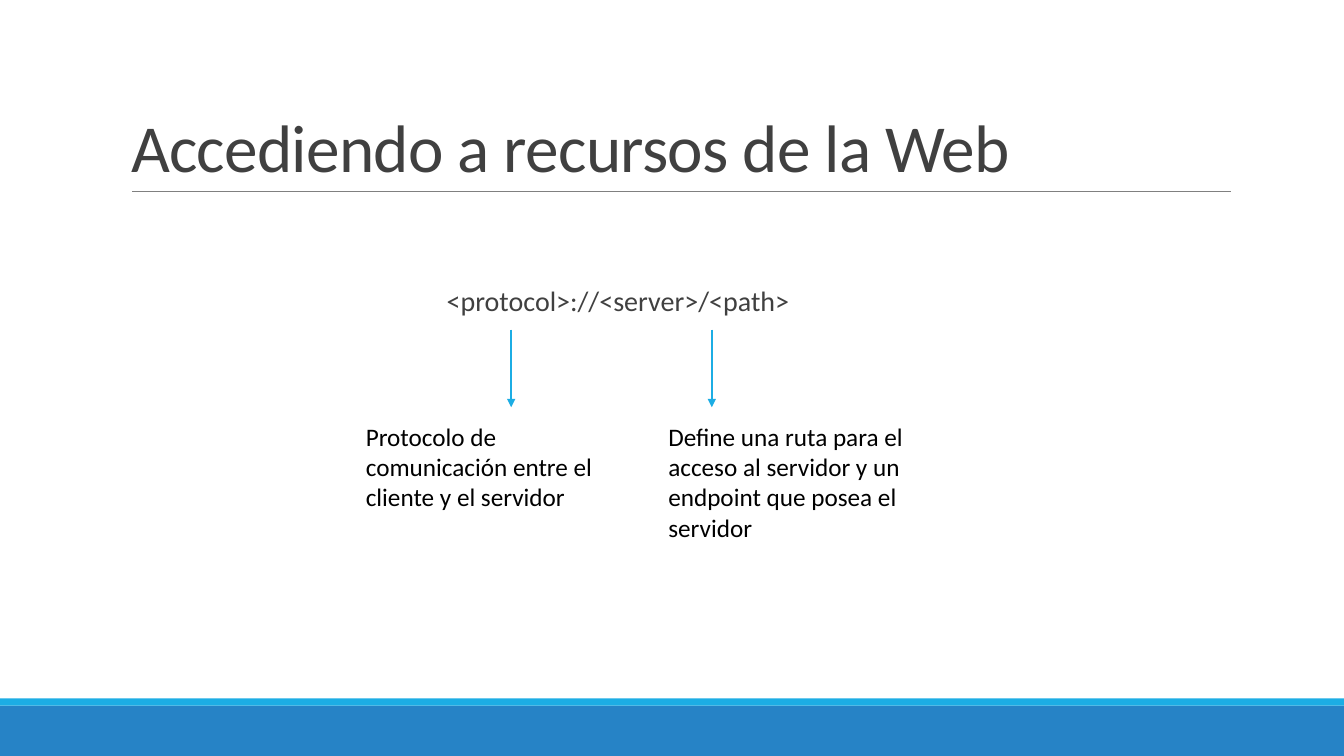
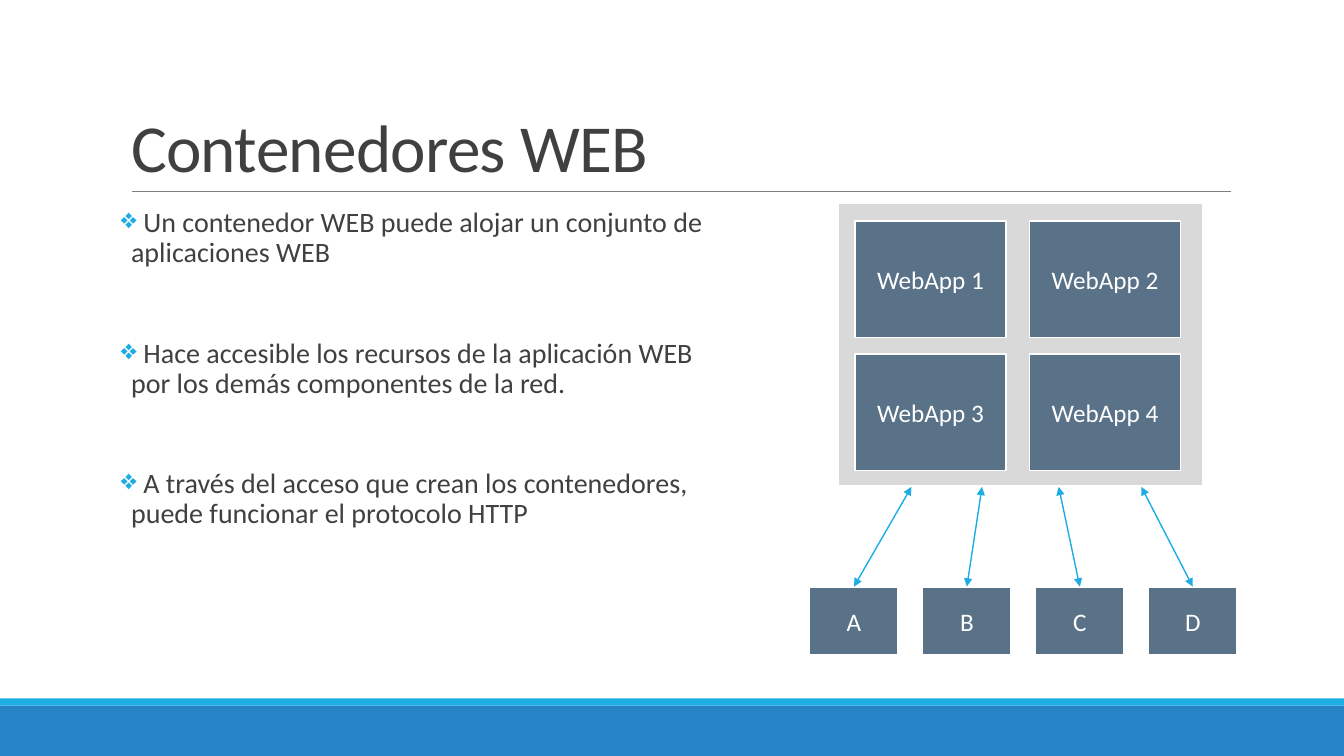
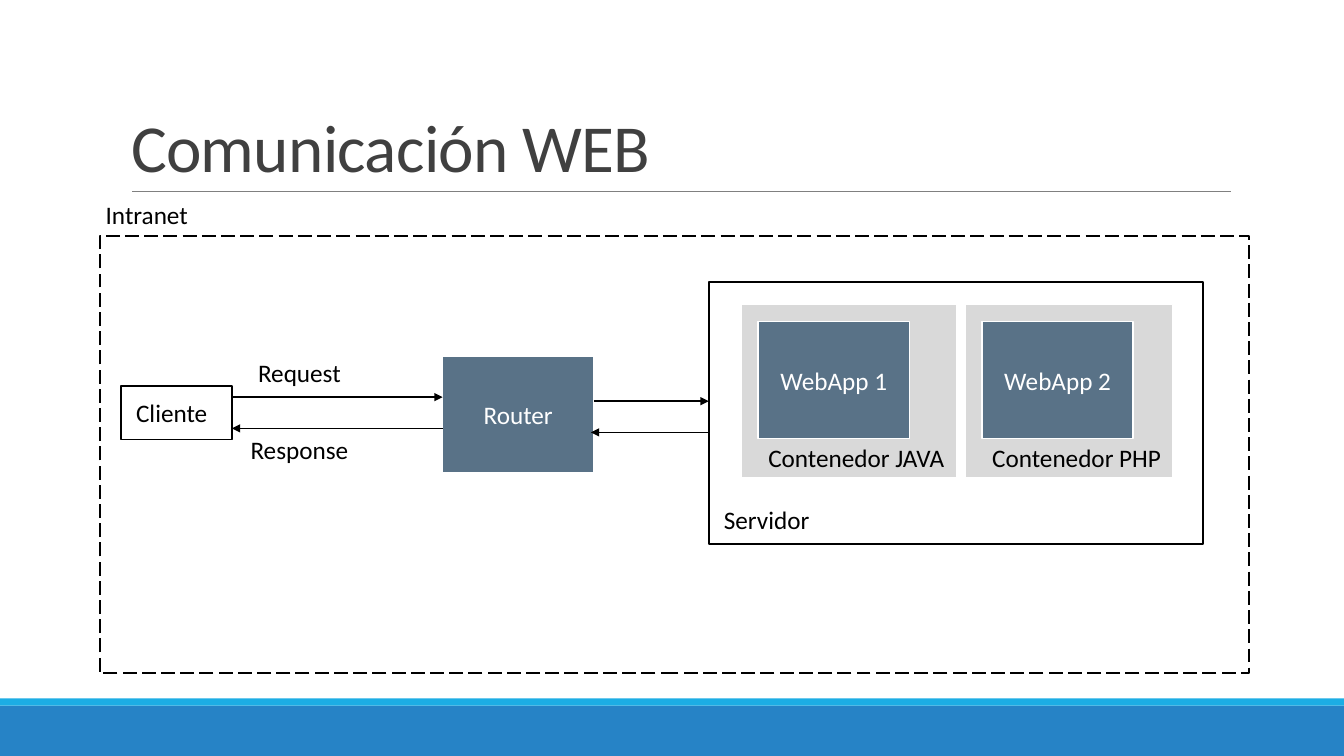
from dataclasses import dataclass

from lxml import etree
from pptx import Presentation
from pptx.dml.color import RGBColor
from pptx.enum.dml import MSO_LINE
from pptx.enum.shapes import MSO_CONNECTOR, MSO_SHAPE
from pptx.enum.text import MSO_ANCHOR, MSO_AUTO_SIZE, PP_ALIGN
from pptx.oxml.ns import qn
from pptx.util import Inches, Pt

RECTANGLE = MSO_SHAPE.RECTANGLE
STRAIGHT = MSO_CONNECTOR.STRAIGHT
LEFT, CENTER = PP_ALIGN.LEFT, PP_ALIGN.CENTER
TOP, MIDDLE, BOTTOM = MSO_ANCHOR.TOP, MSO_ANCHOR.MIDDLE, MSO_ANCHOR.BOTTOM
TOP_SIDE = 0


@dataclass(frozen=True)
class Theme:
    font: str = "Calibri"
    title_size: int = 48
    body_size: int = 20
    label_size: int = 18
    blue: str = "2683C6"
    cyan: str = "1CADE4"
    slate: str = "597287"
    panel: str = "D9D9D9"
    rule: str = "808080"
    ink: str = "404040"
    black: str = "000000"
    white: str = "FFFFFF"


theme = Theme()


def add_box(page, place, lines=(), fill=None, line=None, color=theme.black,
            size=theme.label_size, align=LEFT, anchor=TOP, insets=(0.1, 0.05, 0.1, 0.05)):
    """Add a rectangle, or a text box when it has neither fill nor line."""
    place = [Inches(value) for value in place]
    if fill or line:
        box = page.shapes.add_shape(RECTANGLE, *place)
        box.shadow.inherit = False
    else:
        box = page.shapes.add_textbox(*place)
    if fill:
        box.fill.solid()
        box.fill.fore_color.rgb = RGBColor.from_string(fill)
    else:
        box.fill.background()
    if line:
        box.line.color.rgb = RGBColor.from_string(line)
        box.line.width = Pt(1.25)
    else:
        box.line.fill.background()

    frame = box.text_frame
    frame.word_wrap = True
    frame.vertical_anchor = anchor
    (frame.margin_left, frame.margin_top,
     frame.margin_right, frame.margin_bottom) = [Inches(inset) for inset in insets]
    frame.text = "\n".join(lines)
    for para in frame.paragraphs:
        para.alignment = align
        para.font.name = theme.font
        para.font.size = Pt(size)
        para.font.color.rgb = RGBColor.from_string(color)
    return box


def add_line(page, start, end, color, width=1, heads=("a:tailEnd",)):
    connector = page.shapes.add_connector(STRAIGHT, *[Inches(value) for value in start + end])
    connector.line.color.rgb = RGBColor.from_string(color)
    connector.line.width = Pt(width)
    properties = connector._element.spPr
    for head in heads:
        etree.SubElement(properties.find(qn("a:ln")), qn(head), type="triangle")
    etree.SubElement(properties, qn("a:effectLst"))
    return connector


deck = Presentation()
deck.slide_width, deck.slide_height = Inches(13.33), Inches(7.5)
layout = deck.slide_layouts[5]

# Pages and their titles
pages = []
for heading in ("Accediendo a recursos de la Web", "Contenedores WEB", "Comunicación WEB"):
    page = deck.slides.add_slide(layout)
    title = page.shapes.title
    title.left, title.top, title.width, title.height = map(Inches, (1.2, 0.31, 11, 1.59))
    title.text_frame.text = heading
    title.text_frame.vertical_anchor = BOTTOM
    title.text_frame.auto_size = MSO_AUTO_SIZE.NONE
    para = title.text_frame.paragraphs[0]
    para.alignment = LEFT
    para.line_spacing = 0.85
    para.font.name = theme.font
    para.font.size = Pt(theme.title_size)
    para.font.color.rgb = RGBColor.from_string(theme.ink)
    para.font._rPr.set("spc", "-50")
    pages.append(page)
access_page, container_page, network_page = pages

# Shared bands and title rule, moved to the layout
for holder in list(layout.placeholders):
    if holder.placeholder_format.idx:
        holder._element.getparent().remove(holder._element)
shared_parts = (
    add_box(access_page, (0, 7, 13.33, 0.5), fill=theme.blue),
    add_box(access_page, (0, 6.93, 13.33, 0.07), fill=theme.cyan),
    add_line(access_page, (1.31, 1.9), (12.21, 1.9), theme.rule, width=0.5, heads=()),
)
for part in shared_parts:
    layout.shapes._spTree.append(part._element)

# Address pattern with its two explanations
address = add_box(access_page, (4.43, 2.8, 3.98, 0.41), ["<protocol>://<server>/<path>"],
                  color=theme.ink, size=theme.body_size, insets=(0, 0.05, 0, 0.05))
address.text_frame.paragraphs[0].line_spacing = 0.9
for arrow_x, place, caption in (
    (5.07, (3.53, 4.13, 2.75, 1.01), "Protocolo de comunicación entre el cliente y el servidor"),
    (7.06, (6.53, 4.13, 3.01, 1.31),
     "Define una ruta para el acceso al servidor y un endpoint que posea el servidor"),
):
    add_line(access_page, (arrow_x, 3.27), (arrow_x, 4.04), theme.cyan)
    add_box(access_page, place, [caption])

# Bulleted list about containers
points = add_box(container_page, (1.2, 2.02, 5.81, 4.4), [
    " Un contenedor WEB puede alojar un conjunto de aplicaciones WEB",
    " Hace accesible los recursos de la aplicación WEB por los demás componentes de la red.",
    " A través del acceso que crean los contenedores, puede funcionar el protocolo HTTP",
], color=theme.ink, size=theme.body_size, insets=(0, 0.05, 0, 0.05))
for para in points.text_frame.paragraphs:
    para.line_spacing = 0.9
    para.space_before, para.space_after = Pt(48), Pt(2)
    properties = para._p.pPr
    properties.set("marL", str(Inches(0.1)))
    properties.set("indent", str(Inches(-0.1)))
    bullet_color = etree.Element(qn("a:buClr"))
    etree.SubElement(bullet_color, qn("a:srgbClr"), val=theme.cyan)
    bullet = etree.Element(qn("a:buChar"), char="❖")
    for element in (bullet_color, bullet):
        properties.find(qn("a:defRPr")).addprevious(element)
points.text_frame.paragraphs[0].space_before = Pt(0)

# Container with a grid of four applications
node_style = dict(fill=theme.slate, line=theme.white, color=theme.white,
                  align=CENTER, anchor=MIDDLE)
add_box(container_page, (8.31, 2.02, 3.62, 2.8), fill=theme.panel, line=theme.white)
for index in range(4):
    row, column = divmod(index, 2)
    add_box(container_page, (8.48 + 1.73 * column, 2.19 + 1.32 * row, 1.5, 1.16),
            [f"WebApp {index + 1}"], **node_style)

# Components that reach the container
for index, (name, arrow_x) in enumerate(zip("ABCD", (9.04, 9.74, 10.5, 11.32))):
    left = 8.03 + 1.12 * index
    component = add_box(container_page, (left, 5.82, 0.88, 0.68), [name], **node_style)
    arrow = add_line(container_page, (left + 0.44, 5.82), (arrow_x, 4.83), theme.cyan,
                     heads=("a:headEnd", "a:tailEnd"))
    arrow.begin_connect(component, TOP_SIDE)

# Intranet frame
intranet = add_box(network_page, (0.99, 2.34, 11.4, 4.34), line=theme.black)
intranet.line.dash_style = MSO_LINE.LONG_DASH
add_box(network_page, (0.95, 1.93, 2.7, 0.4), ["Intranet"])

# Server with its two containers
add_box(network_page, (7.03, 2.8, 4.9, 2.6), ["Servidor"], line=theme.black,
        anchor=BOTTOM, insets=(0.15, 0.05, 0.1, 0.1))
for number, (left, width, language) in enumerate(((7.35, 2.14, "JAVA"), (9.57, 2.06, "PHP")), 1):
    add_box(network_page, (left, 3.02, width, 1.72), [f"Contenedor {language}"],
            fill=theme.panel, line=theme.white, anchor=BOTTOM, insets=(0.27, 0.05, 0, 0.05))
    add_box(network_page, (left + 0.17, 3.19, 1.5, 1.16), [f"WebApp {number}"], **node_style)

# Client and router
add_box(network_page, (1.2, 3.83, 1.1, 0.53), ["Cliente"], line=theme.black,
        anchor=MIDDLE, insets=(0.15, 0.05, 0.1, 0.05))
add_box(network_page, (4.39, 3.53, 1.5, 1.16), ["Router"], **node_style)

# Requests and responses
for label, top in (("Request", 3.5), ("Response", 4.26)):
    add_box(network_page, (1.62, top, 2.7, 0.4), [label], align=CENTER)
for start, end in (
    ((2.3, 3.94), (4.39, 3.94)),
    ((4.39, 4.25), (2.3, 4.25)),
    ((5.89, 3.98), (7.03, 3.98)),
    ((7.03, 4.29), (5.86, 4.29)),
):
    add_line(network_page, start, end, theme.black)

deck.save("out.pptx")
